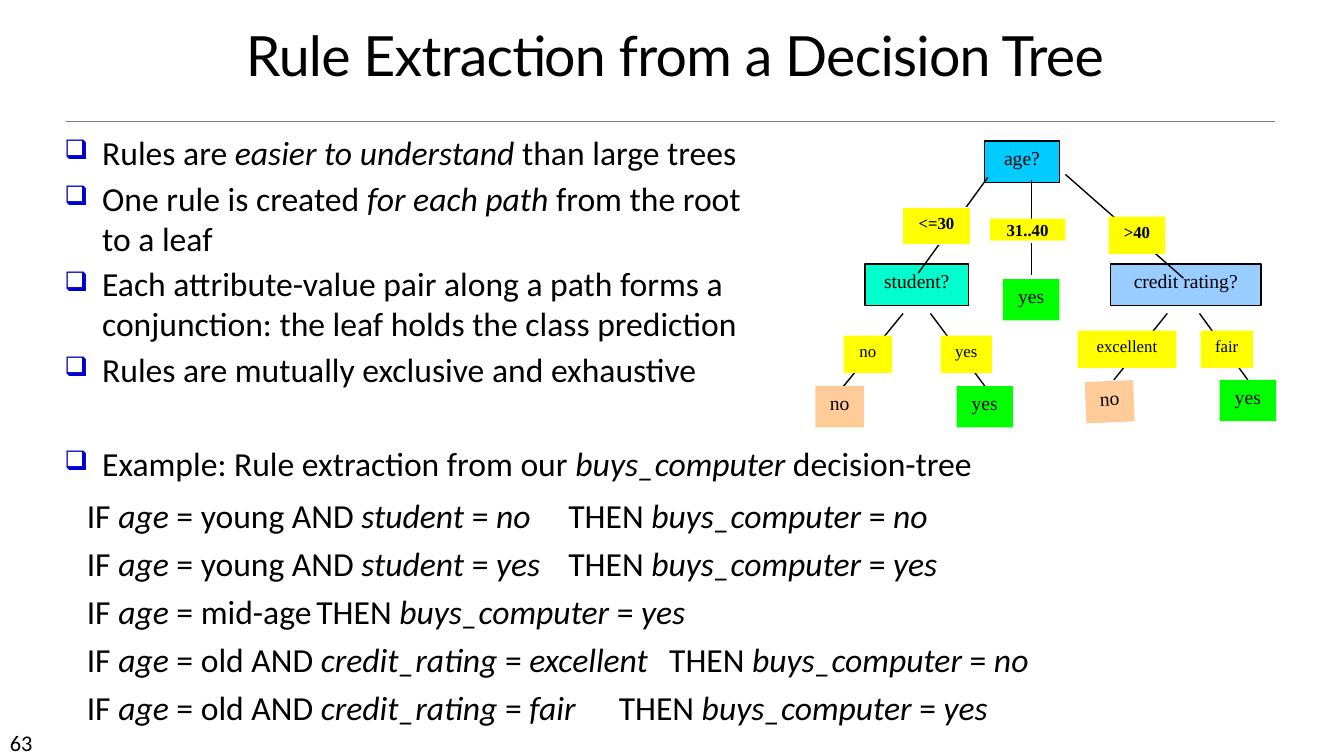
from pptx import Presentation
from pptx.dml.color import RGBColor
from pptx.enum.shapes import MSO_CONNECTOR, MSO_SHAPE
from pptx.enum.text import MSO_ANCHOR, PP_ALIGN
from pptx.oxml.ns import qn
from pptx.util import Pt
from lxml import etree

RECT = MSO_SHAPE.RECTANGLE
LINE = MSO_CONNECTOR.STRAIGHT
CENTER = PP_ALIGN.CENTER
TOP, MIDDLE, BOTTOM = MSO_ANCHOR.TOP, MSO_ANCHOR.MIDDLE, MSO_ANCHOR.BOTTOM

THEME = {
    "black": "000000", "white": "FFFFFF", "gray": "808080", "bullet": "0000CC",
    "root": "00CCFF", "student": "00FFCC", "credit": "99CCFF",
    "label": "FFFF00", "yes": "00FF00", "no": "FFCC99",
    "head": "Lato", "body": "Calibri", "tree": "Times New Roman",
    "title_size": 39.6, "text_size": 24, "page_size": 16,
    "node_size": 14, "label_size": 12,
}

TITLE = "Rule Extraction from a Decision Tree"
PAGE = "63"
POINTS = [
    "Rules are *easier to understand* than large trees",
    "One rule is created *for each path* from the root to a leaf",
    "Each attribute-value pair along a path forms a conjunction: "
    "the leaf holds the class prediction",
    "Rules are mutually exclusive and exhaustive",
]
EXAMPLE = "Example: Rule extraction from our *buys_computer* decision-tree"
RULES = [
    ("*age* = young AND *student* = *no*", "no", 425.2),
    ("*age* = young AND *student* = *yes*", "yes", 426.6),
    ("*age* = mid-age", "yes", 398.2),
    ("*age* = old AND *credit_rating* = *excellent*", "no", 428.2),
    ("*age* = old AND *credit_rating* = *fair*", "yes", 430.2),
]

NODES = [
    ("age?", "root", 703.4, 100.8, 53.3),
    ("student?", "student", 617.8, 188.6, 74.2),
    ("credit rating?", "credit", 793.4, 188.6, 107.3),
]
LEAVES = [
    ("no", 582.5, 275.8, 34.6, 0),
    ("yes", 683.3, 275.8, 40.3, 0),
    ("yes", 871.2, 271.4, 40.3, 0),
    ("yes", 716.4, 199.4, 40.3, 0),
    ("no", 775.4, 272.2, 34.6, -2.4),
]
RANGES = [
    ("<=30", 644.4, 148.3, 49, 26.6, TOP, "white"),
    (">40", 792, 154.8, 40.3, 26.6, TOP, None),
    ("31..40", 707, 156.2, 54, 15.8, MIDDLE, None),
]
VALUES = [
    ("fair", 857.5, 236.2, 37.4),
    ("excellent", 769.7, 236.2, 70.6),
    ("yes", 671.8, 239.8, 36.7),
    ("no", 602.6, 239.8, 34.6),
]
EDGES = [
    (705.6, 126.7, 655.9, 195.1, None),
    (736.6, 128.9, 736.6, 157, None),
    (761, 124.6, 845.3, 198.7, None),
    (736.6, 173.5, 736.6, 196.6, None),
    (645.1, 223.9, 602.6, 275.8, None),
    (664.6, 223.9, 702.7, 275.8, 1),
    (833.8, 223.9, 795.6, 271.4, None),
    (856.8, 223.9, 892.1, 271.4, 2),
]
NODE_HIGH, LABEL_HIGH = 29.5, 26.6


def color(key):
    return RGBColor.from_string(THEME[key])


def style(para, face, size, bold=False):
    font = para.font
    font.name = THEME[face]
    font.size = Pt(THEME[size])
    font.bold = bold
    font.color.rgb = color("black")


def fill_runs(para, text):
    for index, part in enumerate(text.split("*")):
        if part:
            run = para.add_run()
            run.text = part
            if index % 2:
                run.font.italic = True


def indent(para, left, first):
    props = para._p.get_or_add_pPr()
    props.set("marL", str(Pt(left)))
    props.set("indent", str(Pt(first)))
    return props


def add_bullet(para):
    props = indent(para, 27, -27)
    shade = etree.SubElement(props, qn("a:buClr"))
    etree.SubElement(shade, qn("a:srgbClr"), val=THEME["bullet"])
    etree.SubElement(props, qn("a:buSzPct"), val="80000")
    etree.SubElement(props, qn("a:buChar"), char="❑")


def add_tab(para, place):
    props = indent(para, 0, 16)
    tabs = etree.SubElement(props, qn("a:tabLst"))
    etree.SubElement(tabs, qn("a:tab"), pos=str(Pt(place)), algn="l")


def add_text(slide, left, top, width, height):
    frame = slide.shapes.add_textbox(
        Pt(left), Pt(top), Pt(width), Pt(height)).text_frame
    frame.word_wrap = True
    return frame


def next_para(frame, index, space):
    if not index:
        return frame.paragraphs[0]
    para = frame.add_paragraph()
    para.space_before = Pt(space)
    return para


def add_line(slide, ends, shade, width):
    line = slide.shapes.add_connector(LINE, *[Pt(end) for end in ends])
    line.line.color.rgb = color(shade)
    line.line.width = Pt(width)
    etree.SubElement(line._element.spPr, qn("a:effectLst"))
    return line


def add_box(slide, text, fill, left, top, width, height, size,
            edge=None, bold=False, anchor=TOP):
    box = slide.shapes.add_shape(RECT, Pt(left), Pt(top), Pt(width), Pt(height))
    box.shadow.inherit = False
    box.fill.solid()
    box.fill.fore_color.rgb = color(fill)
    if edge:
        box.line.color.rgb = color(edge)
        box.line.width = Pt(1)
    else:
        box.line.fill.background()
    frame = box.text_frame
    frame.word_wrap = False
    frame.vertical_anchor = anchor
    para = frame.paragraphs[0]
    para.text = text
    para.alignment = CENTER
    style(para, "tree", size, bold)
    return box


def add_tree(slide):
    for text, fill, left, top, width in NODES:
        add_box(slide, text, fill, left, top, width, NODE_HIGH, "node_size", "black")
    lines = [add_line(slide, edge[:4], "black", 1) for edge in EDGES]
    leaves = []
    for text, left, top, width, turn in LEAVES:
        leaf = add_box(slide, text, text, left, top, width, NODE_HIGH, "node_size")
        leaf.rotation = turn
        leaves.append(leaf)
    for line, edge in zip(lines, EDGES):
        if edge[4] is not None:
            line.end_connect(leaves[edge[4]], 0)
    for text, left, top, width, height, anchor, edge in RANGES:
        add_box(slide, text, "label", left, top, width, height, "label_size",
                edge, True, anchor)
    for text, left, top, width in VALUES:
        add_box(slide, text, "label", left, top, width, LABEL_HIGH, "label_size")


def add_copy(slide):
    frame = add_text(slide, 136, 18, 692, 48.2)
    frame.vertical_anchor = BOTTOM
    para = frame.paragraphs[0]
    para.alignment = CENTER
    para.line_spacing = 0.85
    fill_runs(para, TITLE)
    para.runs[0].font._element.set("spc", "-50")
    style(para, "head", "title_size")

    frame = add_text(slide, 38.9, 92.2, 509, 220.3)
    for index, text in enumerate(POINTS):
        para = next_para(frame, index, 4.5)
        para.line_spacing = 0.98
        add_bullet(para)
        fill_runs(para, text)
        style(para, "body", "text_size")

    frame = add_text(slide, 38.9, 313.9, 757.4, 216.7)
    rows = [(EXAMPLE, None)] + [
        (f"IF {test}\tTHEN *buys_computer* = *{result}*", place)
        for test, result, place in RULES]
    for index, (text, place) in enumerate(rows):
        para = next_para(frame, index, 9.4 if index == 1 else 6)
        para.line_spacing = 0.98
        if place is None:
            add_bullet(para)
        else:
            add_tab(para, place)
        fill_runs(para, text)
        style(para, "body", "text_size")

    para = add_text(slide, 0, 517, 84.2, 21.6).paragraphs[0]
    para.text = PAGE
    style(para, "body", "page_size")


def main():
    deck = Presentation()
    deck.slide_width, deck.slide_height = Pt(960), Pt(540)
    slide = deck.slides.add_slide(deck.slide_layouts[6])
    add_line(slide, (46.8, 86.6, 910.8, 86.6), "gray", 0.5)
    add_tree(slide)
    add_copy(slide)
    deck.save("out.pptx")


if __name__ == "__main__":
    main()
